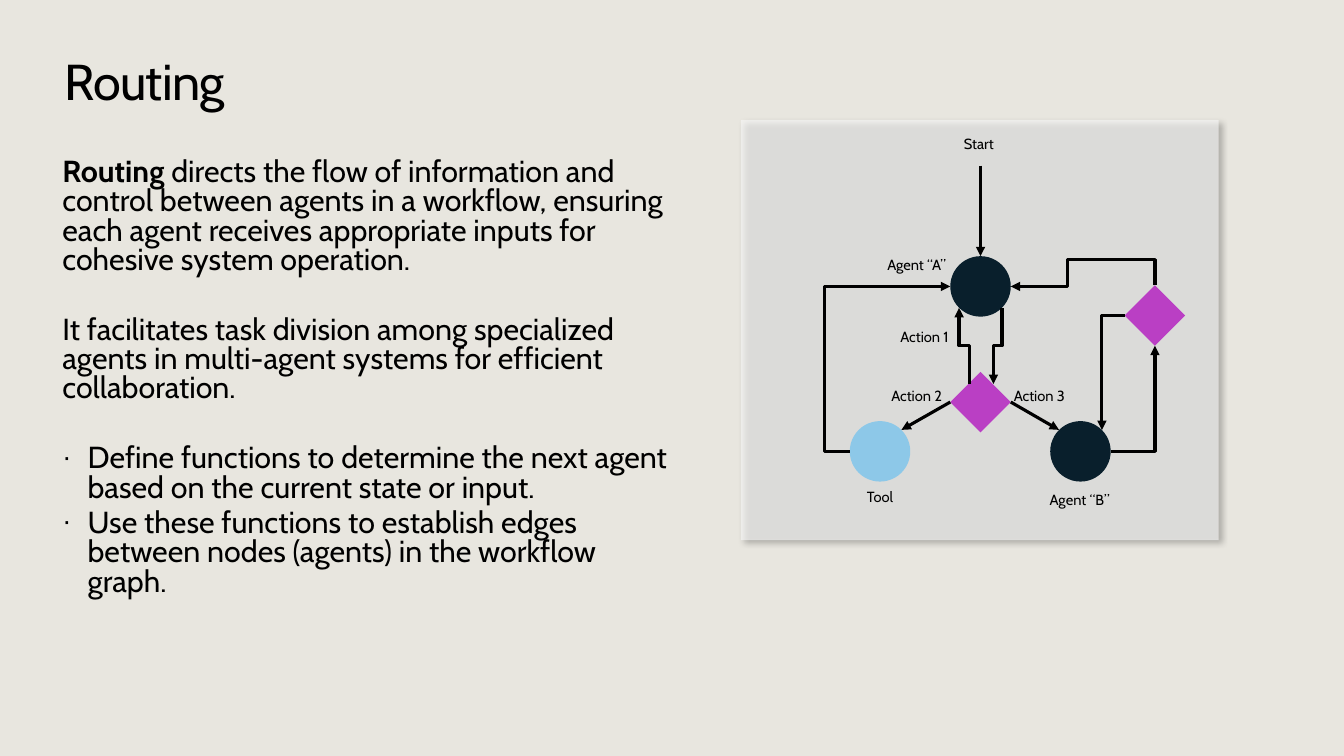
from lxml.etree import SubElement
from pptx import Presentation
from pptx.dml.color import RGBColor
from pptx.enum.shapes import MSO_CONNECTOR, MSO_SHAPE
from pptx.enum.text import MSO_ANCHOR, MSO_AUTO_SIZE, PP_ALIGN
from pptx.oxml.ns import qn
from pptx.util import Pt

COLORS = {
    "background": "E8E6DF",
    "panel": "F9F9F9",
    "ink": "000000",
    "agent": "091F2C",
    "tool": "8DC8E8",
    "router": "BA3FC4",
}


class RoutingSlide:
    """Holds the slide and its style, and draws each kind of element."""

    font = "Cabin"
    line_width = 2.25
    node_size = 43.2
    label_size = (115.2, 72)

    def __init__(self, deck):
        self.slide = deck.slides.add_slide(deck.slide_layouts[1])
        self.paint(self.slide.background.fill, "background")

    def paint(self, fill, color):
        fill.solid()
        fill.fore_color.rgb = RGBColor.from_string(COLORS[color])

    def style(self, paragraph, size):
        paragraph.font.name = self.font
        paragraph.font.size = Pt(size)
        paragraph.font.color.rgb = RGBColor.from_string(COLORS["ink"])

    def place(self, holder, left, top, width, height):
        holder.left, holder.top = Pt(left), Pt(top)
        holder.width, holder.height = Pt(width), Pt(height)
        frame = holder.text_frame
        frame.margin_left = frame.margin_right = 0
        frame.margin_top = frame.margin_bottom = 0
        frame.auto_size = MSO_AUTO_SIZE.NONE
        frame.vertical_anchor = MSO_ANCHOR.TOP
        frame.word_wrap = True
        return frame

    def title(self, text, *box):
        paragraph = self.place(self.slide.shapes.title, *box).paragraphs[0]
        paragraph.alignment = PP_ALIGN.LEFT
        self.style(paragraph, 36)
        run = paragraph.add_run()
        run.text = text
        run._r.get_or_add_rPr().set("spc", "-50")

    def body(self, entries, *box):
        frame = self.place(self.slide.placeholders[1], *box)
        for index, (lead, text, bulleted, space) in enumerate(entries):
            paragraph = frame.add_paragraph() if index else frame.paragraphs[0]
            self.bullet(paragraph, bulleted)
            paragraph.line_spacing = 0.8
            paragraph.space_before = Pt(space)
            self.style(paragraph, 21.7)
            if lead:
                run = paragraph.add_run()
                run.text = lead
                run.font.bold = True
            paragraph.add_run().text = text

    def bullet(self, paragraph, bulleted):
        properties = paragraph._p.get_or_add_pPr()
        indent = Pt(18) if bulleted else 0
        properties.set("marL", str(indent))
        properties.set("indent", str(-indent))
        if bulleted:
            SubElement(properties, qn("a:buSzPct"), val="90000")
            SubElement(properties, qn("a:buChar"), char="·")
        else:
            SubElement(properties, qn("a:buNone"))

    def shape(self, kind, color, *box):
        shape = self.slide.shapes.add_shape(kind, *map(Pt, box))
        shape.shadow.inherit = False
        shape.line.fill.background()
        self.paint(shape.fill, color)
        return shape

    def panel(self, *box):
        properties = self.shape(MSO_SHAPE.RECTANGLE, "panel", *box)._element.spPr
        fill_color = properties.find(qn("a:solidFill"))[0]
        SubElement(fill_color, qn("a:alpha"), val="60000")
        shadow = SubElement(
            properties.find(qn("a:effectLst")), qn("a:outerShdw"),
            blurRad=str(Pt(4)), dist=str(Pt(3)), dir="2700000",
            algn="tl", rotWithShape="0")
        shade = SubElement(shadow, qn("a:srgbClr"), val=COLORS["ink"])
        SubElement(shade, qn("a:alpha"), val="40000")

    def node(self, kind, color, center):
        x, y = center
        size = self.node_size
        self.shape(kind, color, x - size / 2, y - size / 2, size, size)

    def label(self, text, x, y):
        width, height = self.label_size
        box = self.slide.shapes.add_textbox(
            Pt(x - width / 2), Pt(y - height / 2), Pt(width), Pt(height))
        frame = box.text_frame
        frame.word_wrap = True
        frame.vertical_anchor = MSO_ANCHOR.MIDDLE
        paragraph = frame.paragraphs[0]
        paragraph.alignment = PP_ALIGN.CENTER
        self.style(paragraph, 10.5)
        paragraph.add_run().text = text

    def arrow(self, *stops):
        start, *rest = [(Pt(x), Pt(y)) for x, y in stops]
        if len(rest) == 1:
            arrow = self.slide.shapes.add_connector(
                MSO_CONNECTOR.STRAIGHT, *start, *rest[0])
        else:
            builder = self.slide.shapes.build_freeform(*start)
            builder.add_line_segments(rest, close=False)
            arrow = builder.convert_to_shape()
            arrow.fill.background()
        self.paint(arrow.line.fill, "ink")
        arrow.line.width = Pt(self.line_width)
        properties = arrow._element.spPr
        SubElement(properties.get_or_add_ln(), qn("a:tailEnd"), type="triangle")
        SubElement(properties, qn("a:effectLst"))


def draw_workflow(page):
    """Draws the routing graph on its panel."""
    agent_a, agent_b, tool = (700.4, 204.6), (771.8, 322.4), (628.6, 322.4)
    router, return_router = (700.4, 287.2), (825, 225.4)
    radius = page.node_size / 2
    diagonal = radius * 0.71
    ax, ay = agent_a
    bx, by = agent_b
    tx, ty = tool
    rx, ry = router
    qx, qy = return_router

    page.panel(529.2, 85.7, 341.3, 300.2)
    for center, color in ((agent_a, "agent"), (agent_b, "agent"), (tool, "tool")):
        page.node(MSO_SHAPE.OVAL, color, center)
    for center in (router, return_router):
        page.node(MSO_SHAPE.DIAMOND, "router", center)

    left_bend, middle, top_bend = 589, 247, 185.5
    page.arrow((ax, 118.4), (ax, ay - radius))
    page.arrow((rx - radius, ry), (tx + diagonal, ty - diagonal))
    page.arrow((rx + radius, ry), (bx - diagonal, by - diagonal))
    page.arrow((tx - radius, ty), (left_bend, ty), (left_bend, ay), (ax - radius, ay))
    page.arrow((692.6, 274.3), (692.6, middle),
               (ax - diagonal, middle), (ax - diagonal, ay + diagonal))
    page.arrow((ax + diagonal, ay + diagonal), (ax + diagonal, middle),
               (709.6, middle), (709.6, 274.3))
    page.arrow((bx + radius, by), (qx, by), (qx, qy + radius))
    page.arrow((qx - radius, qy), (bx + diagonal, qy), (bx + diagonal, by - diagonal))
    page.arrow((qx, qy - radius), (qx, top_bend),
               (762.4, top_bend), (762.4, ay), (ax + radius, ay))

    for text, x, y in (
        ("Start", 699.2, 102.5),
        ("Agent “A”", 654.8, 188.7),
        ("Action 1", 660.4, 240.6),
        ("Action 2", 654.8, 282.4),
        ("Action 3", 742.4, 282.8),
        ("Tool", 628.6, 355.1),
        ("Agent “B”", 771.2, 356.9),
    ):
        page.label(text, x, y)


def main():
    """Builds the slide and saves it."""
    deck = Presentation()
    deck.slide_width, deck.slide_height = Pt(960), Pt(540)
    page = RoutingSlide(deck)
    page.title("Routing", 46.1, 36, 867.6, 43.9)
    page.body((
        ("Routing", " directs the flow of information and control between agents in a "
         "workflow, ensuring each agent receives appropriate inputs for cohesive "
         "system operation.", False, 0),
        ("", "It facilitates task division among specialized agents in multi-agent "
         "systems for efficient collaboration.", False, 29.3),
        ("", "Define functions to determine the next agent based on the current "
         "state or input.", True, 29.3),
        ("", "Use these functions to establish edges between nodes (agents) in the "
         "workflow graph.", True, 4.6),
    ), 44.6, 113.8, 437.8, 373)
    draw_workflow(page)
    deck.save("out.pptx")


if __name__ == "__main__":
    main()
